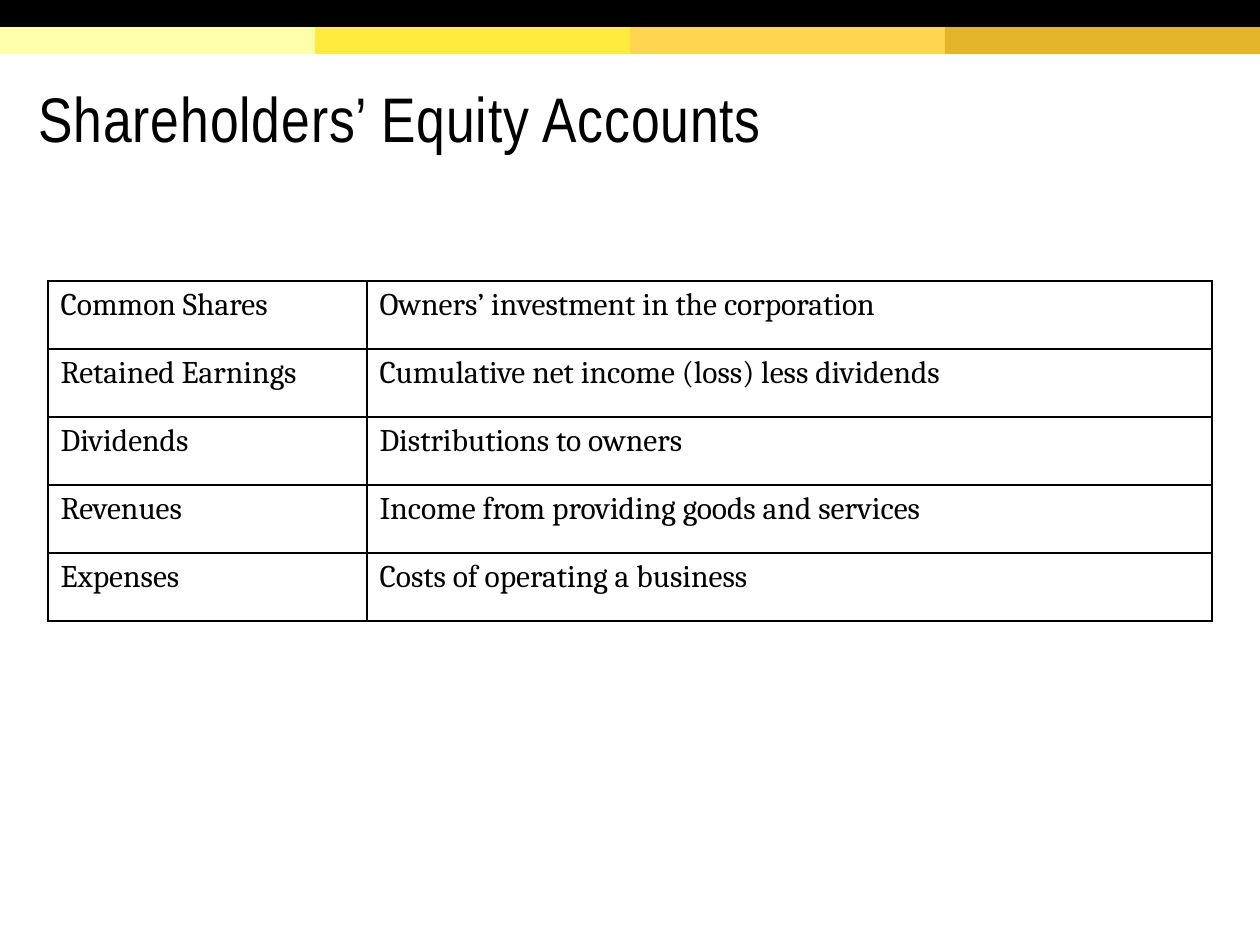
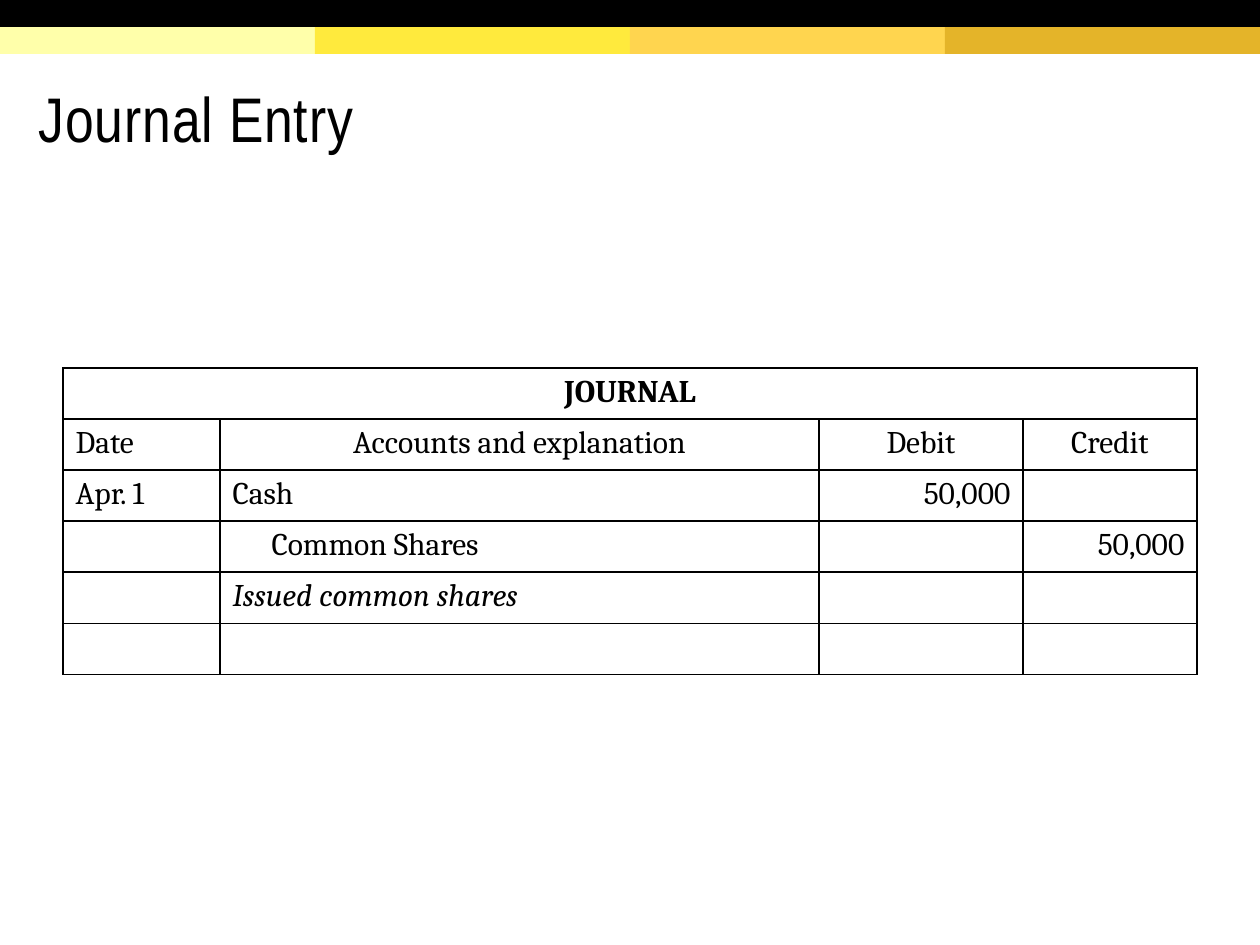
from lxml import etree
from pptx import Presentation
from pptx import util as u
from pptx.dml.color import RGBColor
from pptx.enum import shapes, text
from pptx.oxml import parse_xml
from pptx.oxml.ns import nsdecls, qn

PX = u.Inches(1) / 126
BLACK = "000000"
BANDS = ["FFFFAA", "FFEA3D", "FFD54F", "E4B429"]
BAND_H = 27
LEFT, MID, RIGHT = text.PP_ALIGN.LEFT, text.PP_ALIGN.CENTER, text.PP_ALIGN.RIGHT


def px(*nums):
    """Turn px into EMU."""
    return [u.Emu(round(n * PX)) for n in nums]


def write(frame, words, font="Cambria", size=18, color=BLACK, bold=False,
          italic=False, align=LEFT, indent=0, lead=None, track=0):
    para = frame.paragraphs[0]
    para.alignment = align
    if lead:
        para.line_spacing = lead
    if indent:
        para._p.get_or_add_pPr().set("marL", str(px(indent)[0]))
    run = para.add_run()
    run.text = words
    run.font.name, run.font.size = font, u.Pt(size)
    run.font.bold, run.font.italic = bold, italic
    run.font.color.rgb = RGBColor.from_string(color)
    if track:
        run.font._element.set("spc", str(track))


prs = Presentation()
prs.slide_width, prs.slide_height = px(1260, 945)
layout = prs.slide_layouts[5]

# Each cell is its words, or its words and their format
pages = [
    dict(title="Shareholders’ Equity Accounts", at=(48, 281), row=68,
         cols=[319, 845], cells=[
             ["Common Shares", "Owners’ investment in the corporation"],
             ["Retained Earnings", "Cumulative net income (loss) less dividends"],
             ["Dividends", "Distributions to owners"],
             ["Revenues", "Income from providing goods and services"],
             ["Expenses", "Costs of operating a business"]]),
    dict(title="Journal Entry", at=(63, 368), row=51,
         cols=[157, 599, 204, 174], cells=[
             [("JOURNAL", dict(bold=True, align=MID)), "", "", ""],
             ["Date", ("Accounts and explanation", dict(align=MID)),
              ("Debit", dict(align=MID)), ("Credit", dict(align=MID))],
             ["Apr. 1", "Cash", ("50,000", dict(align=RIGHT)), ""],
             ["", ("Common Shares", dict(indent=39)), "",
              ("50,000", dict(align=RIGHT))],
             ["", ("Issued common shares", dict(italic=True)), "", ""],
             ["", "", "", ""]]),
]

slides = [prs.slides.add_slide(layout) for page in pages]

# Top bands, drawn once and moved to the shared layout
step = 1260 // len(BANDS)
bars = [(i * step, BAND_H, step, BAND_H, hue) for i, hue in enumerate(BANDS)]
bars.append((0, 0, 1260, BAND_H, BLACK))
for i, (*box, hue) in enumerate(bars):
    bar = slides[0].shapes.add_shape(shapes.MSO_SHAPE.RECTANGLE, *px(*box))
    bar.shadow.inherit = False
    bar.fill.solid()
    bar.fill.fore_color.rgb = RGBColor.from_string(hue)
    bar.line.fill.background()
    bar.element.nvSpPr.cNvPr.set("id", str(100 + i))
    layout.shapes.element.insert(2 + i, bar.element)

for slide, page in zip(slides, pages):
    title = slide.shapes.title
    title.left, title.top, title.width, title.height = px(26, 59, 1196, 123)
    frame = title.text_frame
    frame.word_wrap = True
    frame.auto_size = text.MSO_AUTO_SIZE.NONE
    frame.vertical_anchor = text.MSO_ANCHOR.MIDDLE
    frame.margin_left = frame.margin_right = frame.margin_top = u.Inches(0.1)
    frame.margin_bottom = u.Inches(0.05)
    write(frame, page["title"], font="Arial Narrow", size=36, lead=0.85, track=50)

    cells, cols = page["cells"], page["cols"]
    size = sum(cols), page["row"] * len(cells)
    table = slide.shapes.add_table(len(cells), len(cols),
                                   *px(*page["at"], *size)).table
    table.first_row = table.horz_banding = False
    for col, wide in zip(table.columns, px(*cols)):
        col.width = wide
    for r, line in enumerate(cells):
        table.rows[r].height = px(page["row"])[0]
        for c, item in enumerate(line):
            cell = table.cell(r, c)
            props = cell._tc.get_or_add_tcPr()
            for side in "LRTB":
                edge = parse_xml(f'<a:ln{side} {nsdecls("a")} w="{u.Pt(1)}"/>')
                fill = etree.SubElement(edge, qn("a:solidFill"))
                etree.SubElement(fill, qn("a:srgbClr"), val=BLACK)
                props.append(edge)
            cell.fill.background()
            words, style = (item, {}) if isinstance(item, str) else item
            if words:
                write(cell.text_frame, words, **style)
    if page["title"] == "Journal Entry":
        table.cell(0, 0).merge(table.cell(0, len(cols) - 1))

prs.save("out.pptx")
